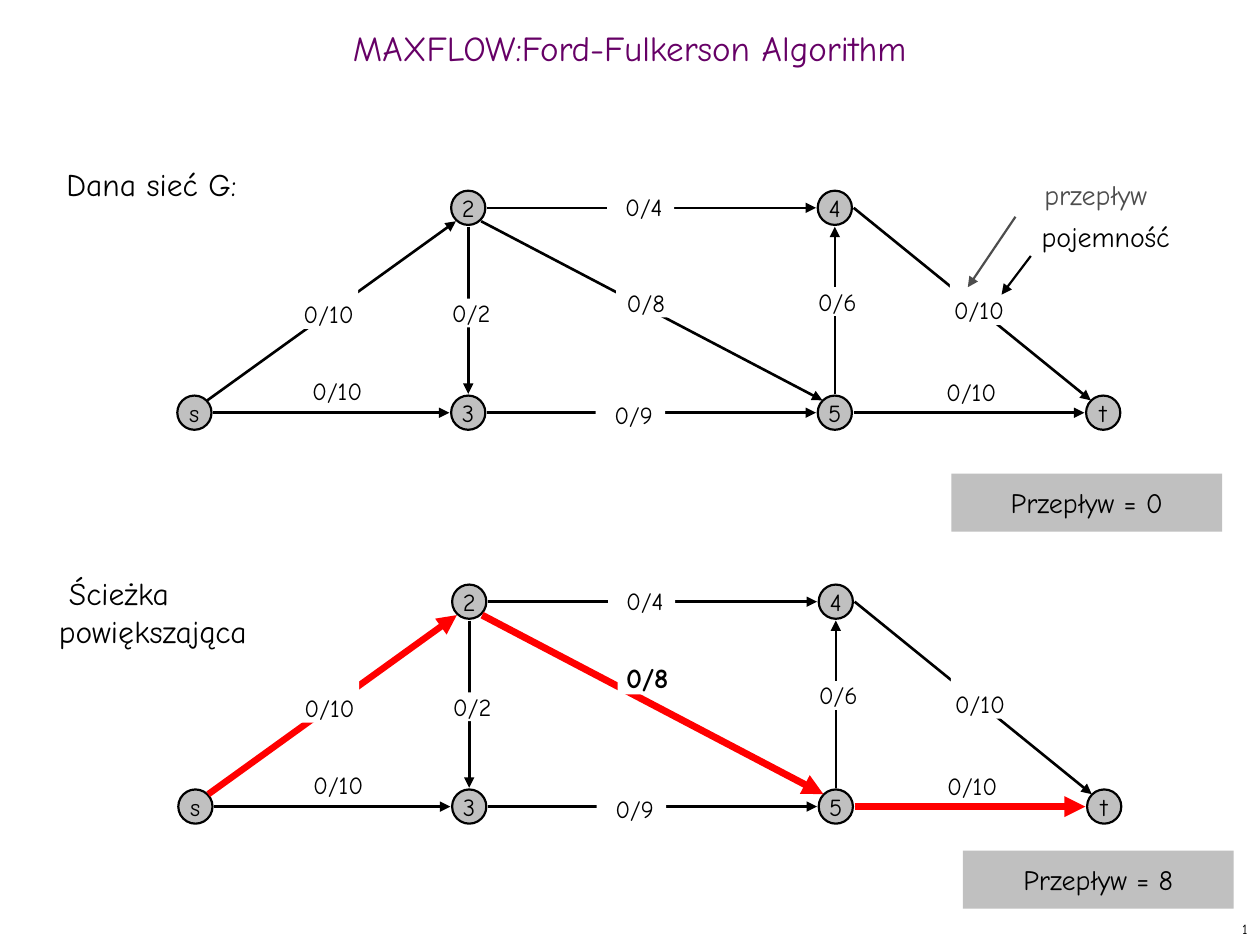
"""Build a slide on the Ford-Fulkerson algorithm with two flow networks."""
from lxml import etree
from pptx import Presentation
from pptx.dml.color import RGBColor
from pptx.enum.shapes import MSO_CONNECTOR, MSO_SHAPE
from pptx.enum.text import MSO_ANCHOR, PP_ALIGN
from pptx.oxml.ns import qn
from pptx.util import Cm, Pt

STRAIGHT = MSO_CONNECTOR.STRAIGHT
OVAL, RECT = MSO_SHAPE.OVAL, MSO_SHAPE.RECTANGLE
TOP, MIDDLE, BOTTOM = MSO_ANCHOR.TOP, MSO_ANCHOR.MIDDLE, MSO_ANCHOR.BOTTOM
LEFT, CENTER, RIGHT = PP_ALIGN.LEFT, PP_ALIGN.CENTER, PP_ALIGN.RIGHT

BLACK = RGBColor(0x00, 0x00, 0x00)
WHITE = RGBColor(0xFF, 0xFF, 0xFF)
GRAY = RGBColor(0xC0, 0xC0, 0xC0)
DARK_GRAY = RGBColor(0x4D, 0x4D, 0x4D)
RED = RGBColor(0xFF, 0x00, 0x00)
PURPLE = RGBColor(0x66, 0x00, 0x66)

FONT = "Comic Neue"
NODE_SIZE = 0.69
NETWORK_STEP = 7.94
LABEL_HEIGHT = 0.58

NODES = {
    "s": (3.92, 8.32),
    "2": (9.44, 4.19),
    "3": (9.44, 8.32),
    "4": (16.83, 4.19),
    "5": (16.83, 8.32),
    "t": (22.24, 8.32),
}
PORTS = {
    "E": (0.38, 0), "W": (-0.38, 0), "N": (0, -0.38), "S": (0, 0.38),
    "NE": (0.26, -0.25), "NW": (-0.25, -0.25),
    "SE": (0.26, 0.27), "SW": (-0.25, 0.27),
}
EDGES = {
    "s2": ("NE", "SW"),
    "s3": ("E", "W"),
    "35": ("E", "W"),
    "24": ("E", "W"),
    "23": ("S", "N"),
    "54": ("N", "S"),
    "25": ("SE", "NW"),
    "4t": ("E", "NW"),
    "5t": ("E", "W"),
}
LABELS = {
    "s3": ("0/10", 6.15, 7.59, 1.17, LABEL_HEIGHT),
    "s2": ("0/10", 6.03, 5.54, 1.19, 1.09),
    "35": ("0/9", 12.01, 8.08, 1.4, LABEL_HEIGHT),
    "25": ("0/8", 12.42, 5.82, 1.07, LABEL_HEIGHT),
    "24": ("0/4", 12.24, 3.89, 1.35, LABEL_HEIGHT),
    "5t": ("0/10", 18.92, 7.62, 1.19, LABEL_HEIGHT),
    "4t": ("0/10", 19.15, 5.46, 1.17, 1.09),
    "54": ("0/6", 16.23, 5.79, 1.17, LABEL_HEIGHT),
    "23": ("0/2", 8.84, 6.02, 1.19, LABEL_HEIGHT),
}
BOLD_LABEL = ("0/8", 12.43, 5.37, 1.07, 0.69)
AUGMENTING_PATH = {"s2": 3.75, "25": 4, "5t": 4}


def set_text(sp, text, size, color=BLACK, bold=False, align=CENTER, **frame):
    """Write one paragraph into a shape and return it."""
    tf = sp.text_frame
    for name, value in {"word_wrap": True, "vertical_anchor": MIDDLE, **frame}.items():
        setattr(tf, name, value)
    p = tf.paragraphs[0]
    p.alignment = align
    r = p.add_run()
    r.text = text
    for name, value in {"name": FONT, "size": Pt(size), "bold": bold}.items():
        setattr(r.font, name, value)
    r.font.color.rgb = color
    return p


def add_box(s, kind, box, fill, line=None):
    """Add a filled preset shape, outlined if a line colour is given."""
    sp = s.shapes.add_shape(kind, *map(Cm, box))
    sp.shadow.inherit = False
    sp.fill.solid()
    sp.fill.fore_color.rgb = fill
    if line is None:
        sp.line.fill.background()
    else:
        sp.line.color.rgb = line
        sp.line.width = Pt(1.25)
    return sp


def add_arrow(s, start, end, color=BLACK, width=1.5):
    """Add a straight arrow that points at its end."""
    cxn = s.shapes.add_connector(STRAIGHT, *map(Cm, (*start, *end)))
    cxn.line.color.rgb = color
    cxn.line.width = Pt(width)
    props = cxn._element.spPr
    etree.SubElement(props.find(qn("a:ln")), qn("a:tailEnd"), type="triangle")
    etree.SubElement(props, qn("a:effectLst"))


def add_node(s, name, x, y):
    """Add a network node centred on a point."""
    half = NODE_SIZE / 2
    sp = add_box(s, OVAL, (x - half, y - half, NODE_SIZE, NODE_SIZE), GRAY, BLACK)
    set_text(sp, name, 14, word_wrap=False)


def add_edge_label(s, text, box, bold):
    """Add a flow/capacity label on a white box that interrupts its edge."""
    sp = add_box(s, RECT, box, WHITE)
    shift = Cm(0.13) if box[3] < 1 else 0
    set_text(sp, text, 16 if bold else 14, bold=bold, word_wrap=False,
             vertical_anchor=BOTTOM, margin_left=shift, margin_right=0,
             margin_top=0, margin_bottom=0)


def add_network(s, dx, dy, path):
    """Add the network, with the edges of a path in red."""
    for name, (x, y) in NODES.items():
        add_node(s, name, x + dx, y + dy)
    for edge, sides in EDGES.items():
        start, end = [
            (NODES[node][0] + PORTS[side][0] + dx, NODES[node][1] + PORTS[side][1] + dy)
            for node, side in zip(edge, sides)
        ]
        add_arrow(s, start, end, RED if edge in path else BLACK, path.get(edge, 1.5))
    for edge, label in LABELS.items():
        bold = edge == "25" and edge in path
        text, x, y, w, h = BOLD_LABEL if bold else label
        add_edge_label(s, text, (x + dx, y + dy, w, h), bold)


def add_heading(s, text, box):
    """Add a network heading with a small first-line indent."""
    sp = add_box(s, RECT, box, WHITE)
    p = set_text(sp, text, 18, align=LEFT, vertical_anchor=TOP, margin_left=0,
                 margin_right=0, margin_top=0, margin_bottom=0)
    p._p.get_or_add_pPr().set("indent", str(Cm(0.2)))


def add_text(s, text, box, size, color=BLACK, **options):
    """Add a plain text box and return its paragraph."""
    sp = s.shapes.add_textbox(*map(Cm, box))
    return set_text(sp, text, size, color, **options)


def main():
    """Build and save the slide."""
    prs = Presentation()
    prs.slide_width, prs.slide_height = Cm(25.4), Cm(19.05)
    s = prs.slides.add_slide(prs.slide_layouts[6])

    add_text(s, "1", (20.12, 18.42, 5.28, 0.63), 8, align=RIGHT)
    title = add_text(s, "MAXFLOW:Ford-Fulkerson Algorithm",
                     (0, 0.43, 25.4, 1.27), 20, PURPLE)
    title.line_spacing = 0.7

    add_network(s, 0, 0, {})
    add_text(s, "przepływ", (20.45, 3.45, 3.28, 0.94), 16, DARK_GRAY)
    add_text(s, "pojemność", (20.6, 4.29, 3.38, 0.94), 16)
    add_arrow(s, (20.47, 4.37), (19.51, 5.79), DARK_GRAY, 1.25)
    add_arrow(s, (20.78, 5.16), (20.19, 5.94), BLACK, 1.25)
    add_network(s, 0.02, NETWORK_STEP, AUGMENTING_PATH)

    for text, x, y in (("Przepływ = 0", 19.18, 9.55), ("Przepływ = 8", 19.41, 17.15)):
        set_text(add_box(s, RECT, (x, y, 5.46, 1.17), GRAY), text, 16)
    add_heading(s, "Ścieżka powiększająca", (1.19, 11.58, 4.19, 1.52))
    add_heading(s, "Dana sieć G:", (1.14, 3.33, 4.5, 0.76))

    prs.save("out.pptx")


if __name__ == "__main__":
    main()
